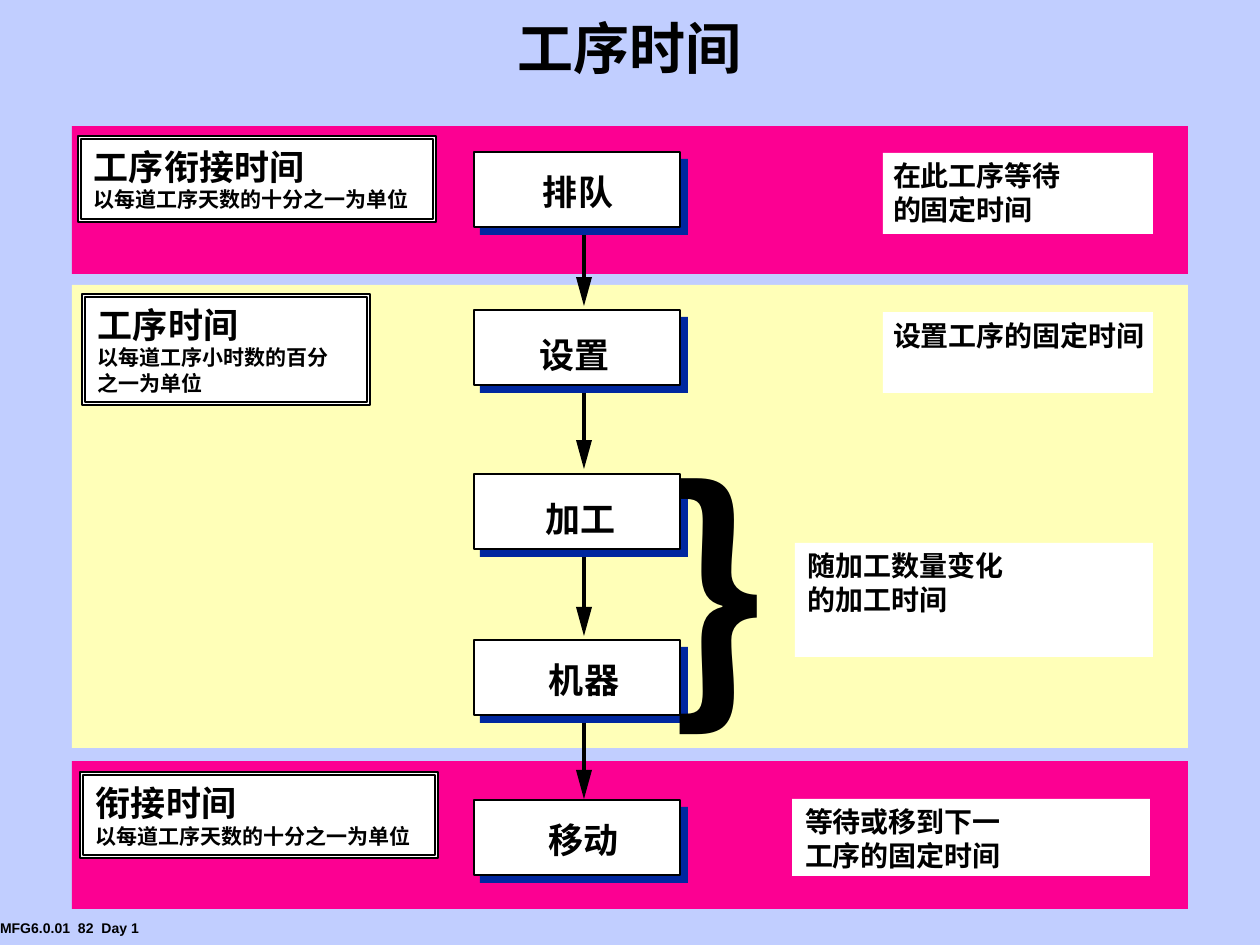
from lxml import etree
from pptx import Presentation
from pptx.dml.color import RGBColor
from pptx.enum.shapes import MSO_CONNECTOR, MSO_SHAPE
from pptx.enum.text import MSO_ANCHOR, PP_ALIGN
from pptx.oxml.ns import qn
from pptx.util import Pt

PX = 914400 / 126  # EMU per px
SANS = "Noto Sans CJK SC"
SKY = RGBColor(0xC1, 0xCE, 0xFF)
PINK = RGBColor(0xFC, 0x00, 0x92)
CREAM = RGBColor(0xFF, 0xFF, 0xB8)
NAVY = RGBColor(0x00, 0x27, 0x9F)
WHITE = RGBColor(0xFF, 0xFF, 0xFF)
BLACK = RGBColor(0x00, 0x00, 0x00)

prs = Presentation()
prs.slide_width, prs.slide_height = round(1260 * PX), round(945 * PX)
slide = prs.slides.add_slide(prs.slide_layouts[6])
slide.background.fill.solid()
slide.background.fill.fore_color.rgb = SKY
shapes = slide.shapes


def add_box(x, y, w, h, fill=None, outlined=False):
    box = shapes.add_shape(MSO_SHAPE.RECTANGLE, *(round(v * PX) for v in (x, y, w, h)))
    box.shadow.inherit = False
    if fill is None:
        box.fill.background()
    else:
        box.fill.solid()
        box.fill.fore_color.rgb = fill
    if outlined:
        box.line.color.rgb = BLACK
        box.line.width = Pt(1)
    else:
        box.line.fill.background()
    return box


def write(box, text, sizes, left=13, top=6, align=PP_ALIGN.LEFT,
          anchor=MSO_ANCHOR.TOP, face=SANS):
    """Fill a box with bold black text, one size per paragraph."""
    frame = box.text_frame
    frame.word_wrap = True
    frame.vertical_anchor = anchor
    frame.margin_left, frame.margin_top = round(left * PX), round(top * PX)
    frame.margin_right = frame.margin_bottom = 0
    frame.text = text
    for paragraph, size in zip(frame.paragraphs, sizes):
        paragraph.alignment = align
        for run in paragraph.runs:
            run.font.name, run.font.size = face, Pt(size)
            run.font.bold = True
            run.font.color.rgb = BLACK
            east_asian = etree.SubElement(run._r.get_or_add_rPr(), qn("a:ea"))
            east_asian.set("typeface", face)


# Title and footer
title = add_box(0, 8, 1259, 86)
write(title, "工序时间", [32], left=0, top=0, align=PP_ALIGN.CENTER, anchor=MSO_ANCHOR.MIDDLE)
title.text_frame.paragraphs[0].line_spacing = 0.9
footer = add_box(0, 914, 160, 29)
write(footer, "MFG6.0.01  82  Day 1", [8], left=0, face="Arial")

# Background bands
for y, h, color in ((126, 148, PINK), (285, 463, CREAM), (761, 148, PINK)):
    add_box(72, y, 1116, h, color)

# Double-framed captions
captions = [
    (78, 136, 358, 86, "工序衔接时间\n以每道工序天数的十分之一为单位"),
    (82, 294, 288, 111, "工序时间\n以每道工序小时数的百分\v之一为单位"),
    (80, 772, 358, 86, "衔接时间\n以每道工序天数的十分之一为单位"),
]
for x, y, w, h, text in captions:
    add_box(x, y, w, h, WHITE, outlined=True)
    inner_frame = add_box(x + 3, y + 3, w - 6, h - 6, outlined=True)
    write(inner_frame, text, [20, 12])

# Process steps: top, label, label offset from the step's corner
steps = [
    (152, "排队", 69, 19),
    (310, "设置", 66, 24),
    (474, "加工", 72, 24),
    (640, "机器", 75, 19),
    (800, "移动", 74, 19),
]
step_shadows = []
for y, label, dx, dy in steps:
    step_shadows.append(add_box(480, y + 7, 208, 76, NAVY))
    step = add_box(474, y, 206, 75, WHITE, outlined=True)
    write(step, label, [20], left=dx, top=dy)

# Arrows between the steps
for step_shadow, tip in zip(step_shadows, (306, 469, 636, 799)):
    stem = shapes.add_connector(MSO_CONNECTOR.STRAIGHT, 0, 0,
                                round(584 * PX), round((tip - 15) * PX))
    stem.begin_connect(step_shadow, 2)
    stem.line.color.rgb = BLACK
    stem.line.width = Pt(2)
    etree.SubElement(stem._element.spPr, qn("a:effectLst"))

    outline = shapes.build_freeform(584, tip, scale=PX)
    outline.add_line_segments([(592, tip - 29), (576, tip - 29)], close=True)
    arrowhead = outline.convert_to_shape()
    arrowhead.shadow.inherit = False
    arrowhead.fill.solid()
    arrowhead.fill.fore_color.rgb = BLACK
    arrowhead.line.fill.background()

# Brace joining the two run steps
write(add_box(655, 421, 141, 328), "}", [150])

# Explanations on the right
notes = [
    (883, 153, 270, 81, 10, "在此工序等待\n的固定时间"),
    (883, 312, 270, 81, 10, "设置工序的固定时间"),
    (795, 543, 358, 114, 13, "随加工数量变化\n的加工时间"),
    (792, 799, 358, 77, 13, "等待或移到下一\n工序的固定时间"),
]
for x, y, w, h, left, text in notes:
    write(add_box(x, y, w, h, WHITE), text, [16, 16], left=left)

prs.save("out.pptx")
